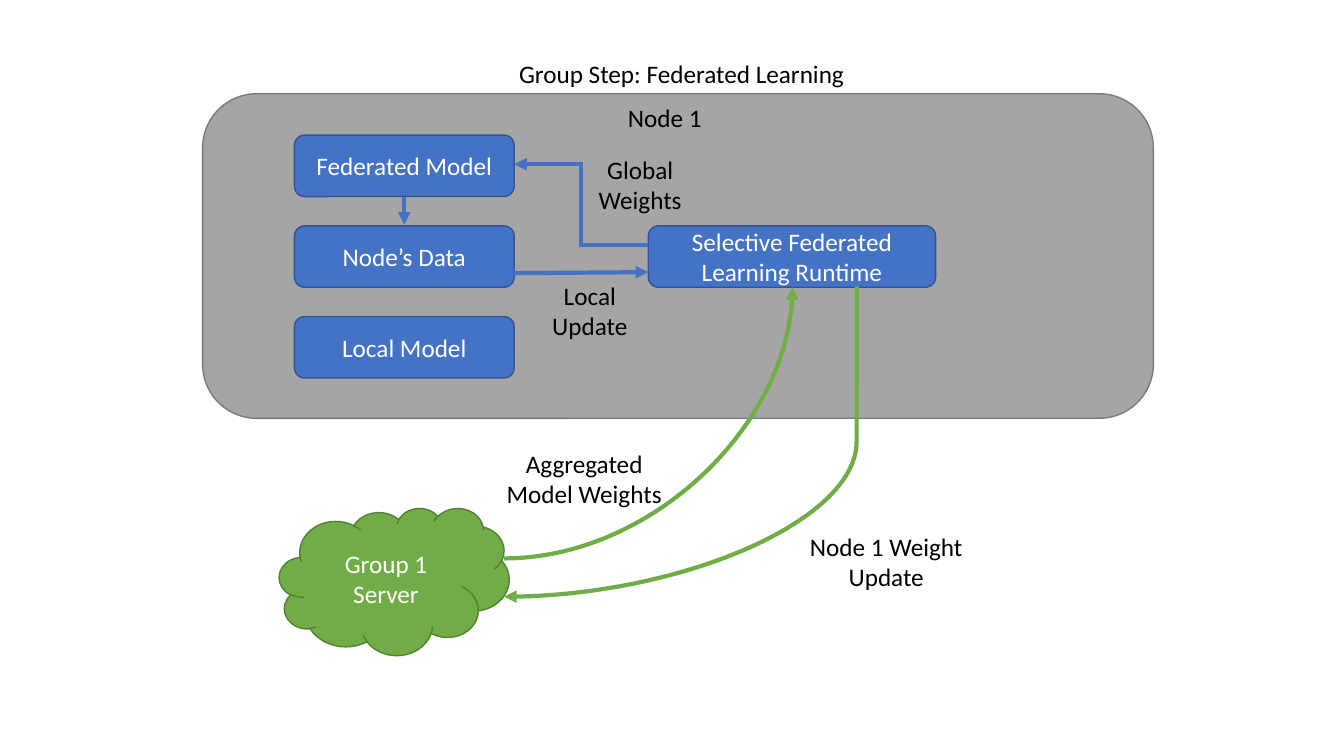
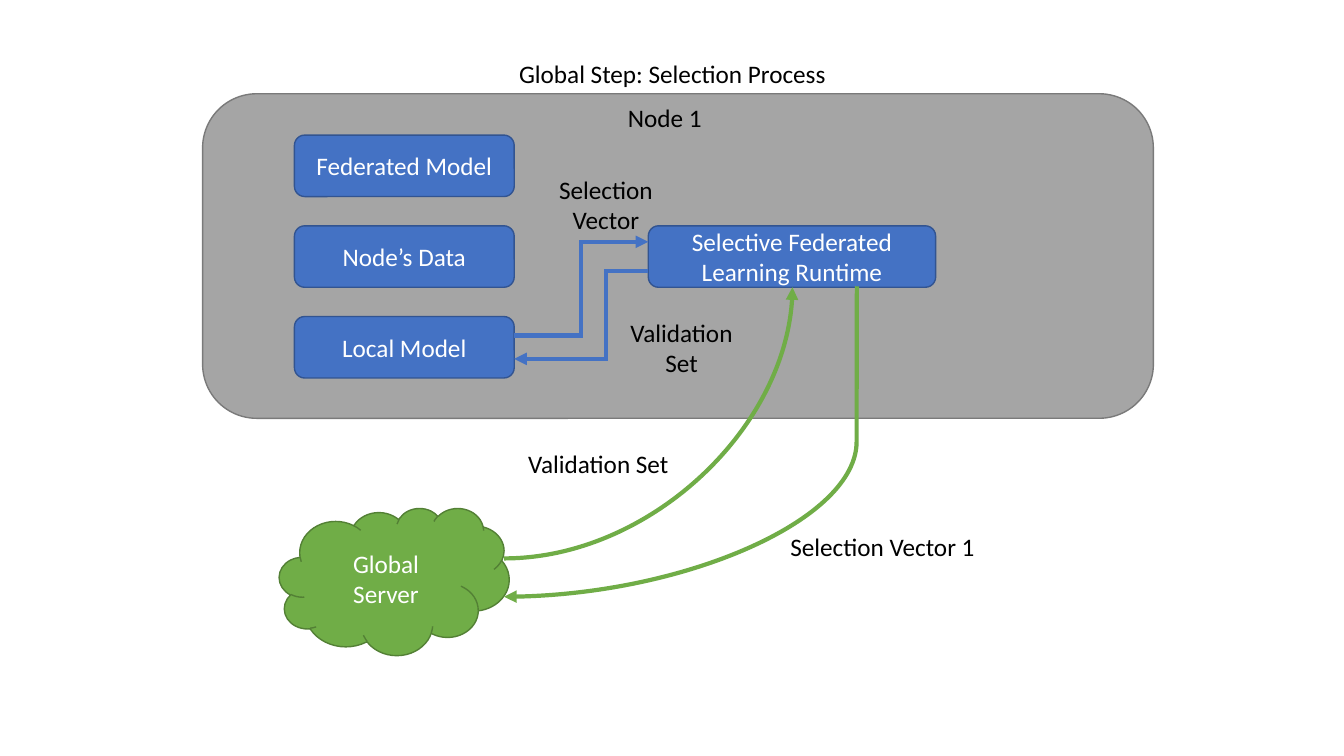
"""Build two slides on the group step and the global step of selective federated learning."""
from lxml import etree
from pptx import Presentation
from pptx.dml.color import RGBColor
from pptx.enum import shapes, text
from pptx.oxml.ns import qn
from pptx.util import Inches, Pt

FONT, TEXT_SIZE = "Calibri", 18
BLACK, WHITE = "000000", "FFFFFF"
GRAY, BLUE, GREEN = ("A5A5A5", "7A7A7A"), ("4472C4", "325491"), ("70AD47", "538035")
LEFT, CENTER = text.PP_ALIGN.LEFT, text.PP_ALIGN.CENTER
ROUNDED, CLOUD = shapes.MSO_SHAPE.ROUNDED_RECTANGLE, shapes.MSO_SHAPE.CLOUD
STRAIGHT, ELBOW, CURVE = (
    shapes.MSO_CONNECTOR.STRAIGHT, shapes.MSO_CONNECTOR.ELBOW, shapes.MSO_CONNECTOR.CURVE)

NODE = (2.01, 0.93, 9.43, 3.22)
NODE_PARTS = ["Federated Model", "Node’s Data", "Local Model"]
PART_LEFT, PART_TOP, PART_WIDTH, PART_HEIGHT, PART_STEP = 2.92, 1.34, 2.18, 0.61, 0.9
PART_RIGHT = PART_LEFT + PART_WIDTH
RUNTIME = (6.43, 2.24, 2.85, PART_HEIGHT)
RUNTIME_LEFT = RUNTIME[0]
SERVER = (2.77, 5.04, 2.28, 1.46)

SERVER_ARROWS = [
    dict(kind=CURVE, start=(5, 5.54), end=(7.86, 2.85), preset="curvedConnector2"),
    dict(kind=CURVE, start=(8.5, 2.84), end=(5, 5.92), bend=0.001),
]
STEPS = [
    dict(
        title="Group Step: Federated Learning",
        server="Group 1 Server",
        arrows=[
            dict(kind=ELBOW, start=(RUNTIME_LEFT, 2.43), end=(PART_RIGHT, 1.63)),
            dict(kind=STRAIGHT, start=(4.01, 1.95), end=(4.01, 2.23)),
            dict(kind=STRAIGHT, start=(PART_RIGHT, 2.71), end=(RUNTIME_LEFT, 2.7)),
        ],
        labels=[
            ("Node 1 Weight Update", (7.74, 5.22, 2.1, 0.71), CENTER),
            ("Aggregated Model Weights", (4.88, 4.4, 1.83, 0.71), CENTER),
            ("Global Weights", (5.72, 1.48, 1.26, 0.71), CENTER),
            ("Local Update", (5.22, 2.73, 1.26, 0.71), CENTER),
        ],
    ),
    dict(
        title="Global Step: Selection Process",
        server="Global\nServer",
        arrows=[
            dict(kind=ELBOW, start=(PART_RIGHT, 3.33), end=(RUNTIME_LEFT, 2.4)),
            dict(kind=ELBOW, start=(RUNTIME_LEFT, 2.69), end=(PART_RIGHT, 3.56), bend=0.315),
        ],
        labels=[
            ("Selection Vector 1", (7.74, 5.22, 2.1, 0.4), LEFT),
            ("Validation Set", (5.14, 4.4, 1.61, 0.4), LEFT),
            ("Selection Vector", (5.38, 1.68, 1.26, 0.71), CENTER),
            ("Validation Set", (6.13, 3.1, 1.26, 0.71), CENTER),
        ],
    ),
]


def color(value):
    return RGBColor.from_string(value)


def inches(values):
    return [Inches(value) for value in values]


def write(shape, wording, ink, alignment):
    frame = shape.text_frame
    frame.word_wrap = True
    for index, line in enumerate(wording.split("\n")):
        paragraph = frame.add_paragraph() if index else frame.paragraphs[0]
        paragraph.alignment = alignment
        run = paragraph.add_run()
        run.text = line
        run.font.name = FONT
        run.font.size = Pt(TEXT_SIZE)
        run.font.color.rgb = color(ink)


def add_box(slide, preset, place, colors, wording=""):
    shape = slide.shapes.add_shape(preset, *inches(place))
    shape.shadow.inherit = False
    shape.fill.solid()
    shape.fill.fore_color.rgb = color(colors[0])
    shape.line.color.rgb = color(colors[1])
    shape.line.width = Pt(1)
    if wording:
        shape.text_frame.vertical_anchor = text.MSO_ANCHOR.MIDDLE
        write(shape, wording, WHITE, CENTER)


def add_label(slide, wording, place, alignment=LEFT):
    label = slide.shapes.add_textbox(*inches(place))
    write(label, wording, BLACK, alignment)
    label.text_frame.auto_size = text.MSO_AUTO_SIZE.SHAPE_TO_FIT_TEXT


def add_arrow(slide, ink, kind, start, end, preset=None, bend=None):
    arrow = slide.shapes.add_connector(kind, *inches(start + end))
    arrow.line.color.rgb = color(ink)
    arrow.line.width = Pt(3)
    properties = arrow._element.spPr
    line = properties.find(qn("a:ln"))
    etree.SubElement(line, qn("a:miter"), lim="800000")
    etree.SubElement(line, qn("a:tailEnd"), type="triangle")
    etree.SubElement(properties, qn("a:effectLst"))
    geometry = properties.find(qn("a:prstGeom"))
    if preset:
        geometry.set("prst", preset)
    if bend is not None:
        adjustments = geometry.find(qn("a:avLst"))
        if adjustments is None:
            adjustments = etree.SubElement(geometry, qn("a:avLst"))
        etree.SubElement(adjustments, qn("a:gd"), name="adj1", fmla=f"val {round(bend * 100000)}")


def add_step(presentation, step):
    slide = presentation.slides.add_slide(presentation.slide_layouts[6])
    add_box(slide, ROUNDED, NODE, GRAY)
    add_label(slide, step["title"], (5.05, 0.53, 4, 0.4))
    for index, name in enumerate(NODE_PARTS):
        top = PART_TOP + index * PART_STEP
        add_box(slide, ROUNDED, (PART_LEFT, top, PART_WIDTH, PART_HEIGHT), BLUE, name)
    add_box(slide, ROUNDED, RUNTIME, BLUE, "Selective Federated Learning Runtime")
    add_box(slide, CLOUD, SERVER, GREEN, step["server"])
    for ink, arrows in ((BLUE[0], step["arrows"]), (GREEN[0], SERVER_ARROWS)):
        for arrow in arrows:
            add_arrow(slide, ink, **arrow)
    for label in step["labels"]:
        add_label(slide, *label)
    add_label(slide, "Node 1", (6.13, 0.97, 1.14, 0.4))


def main():
    presentation = Presentation()
    presentation.slide_width, presentation.slide_height = inches((13.33, 7.5))
    for step in STEPS:
        add_step(presentation, step)
    presentation.save("out.pptx")


if __name__ == "__main__":
    main()
